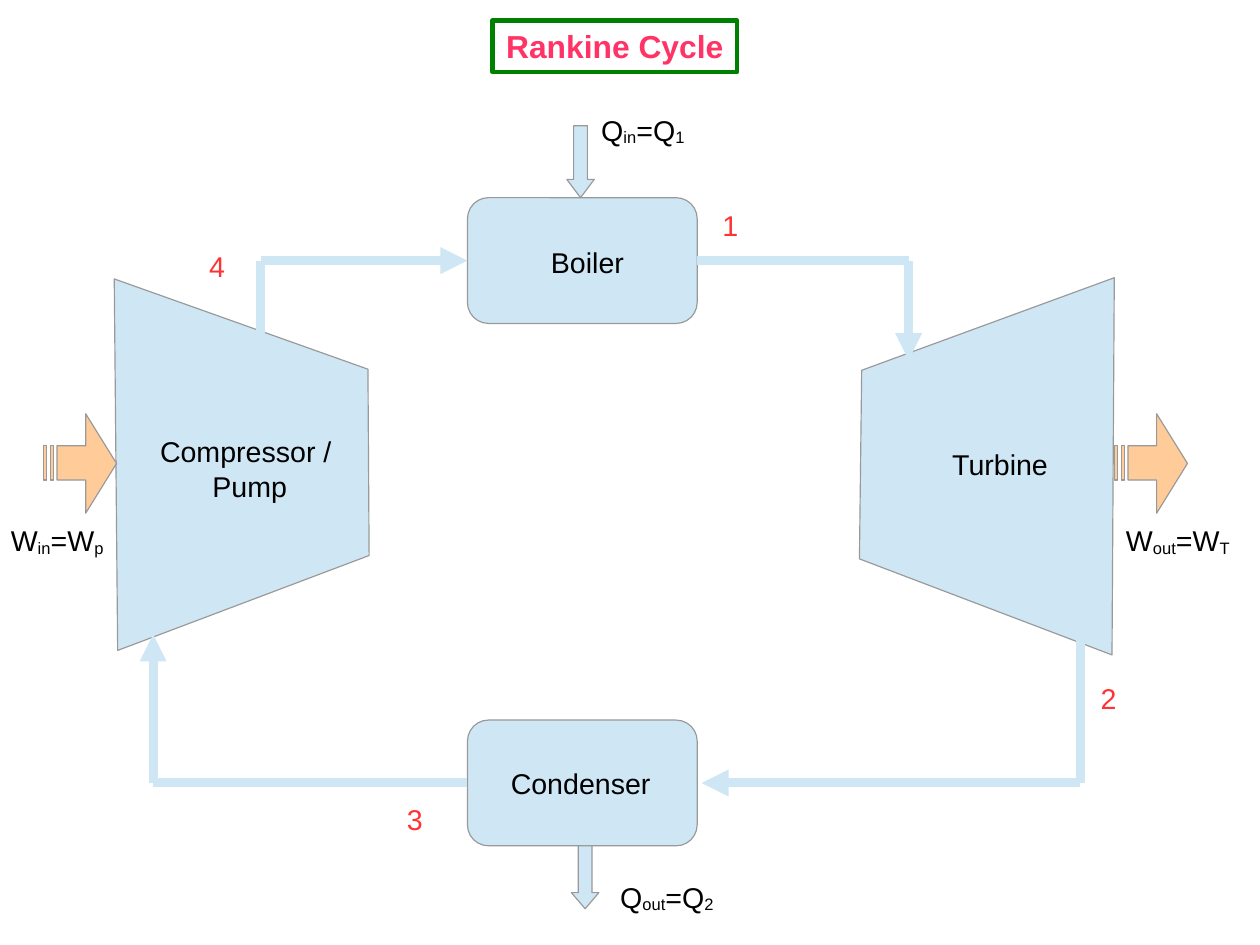
from lxml import etree
from pptx import Presentation
from pptx.dml.color import RGBColor
from pptx.enum.shapes import MSO_CONNECTOR, MSO_SHAPE
from pptx.enum.text import MSO_ANCHOR, MSO_AUTO_SIZE, PP_ALIGN
from pptx.oxml.ns import qn
from pptx.util import Inches, Pt

STRAIGHT = MSO_CONNECTOR.STRAIGHT
ROUNDED = MSO_SHAPE.ROUNDED_RECTANGLE
DOWN_ARROW = MSO_SHAPE.DOWN_ARROW
TOP, MIDDLE = MSO_ANCHOR.TOP, MSO_ANCHOR.MIDDLE
CENTER = PP_ALIGN.CENTER
NO_AUTOFIT = MSO_AUTO_SIZE.NONE

BLUE, ORANGE, GRAY = "CFE7F5", "FFCC99", "999999"
BLACK, RED, PINK, GREEN = "000000", "FF3333", "FF3366", "008000"

# Pipe runs in flow direction: start, end, arrow at end
PIPES = [
    ((2.28, 3.07), (2.28, 2.28), False),
    ((2.28, 2.28), (4.09, 2.28), True),
    ((6.1, 2.28), (7.95, 2.28), False),
    ((7.95, 2.28), (7.95, 3.15), True),
    ((9.45, 5.59), (9.45, 6.85), False),
    ((9.45, 6.85), (6.14, 6.85), True),
    ((4.09, 6.85), (1.34, 6.85), False),
    ((1.34, 6.85), (1.34, 5.55), True),
]
COMPRESSOR = [(1.03, 5.69), (1, 2.44), (3.22, 3.23), (3.23, 4.86)]
TURBINE = [(9.75, 2.43), (9.73, 5.73), (7.52, 4.89), (7.54, 3.24)]

# Labels: left, top, width, height, lines
MACHINE_LABELS = [
    (1.3, 3.75, 1.77, 0.66, ["Compressor / ", "Pump"]),
    (8.23, 3.86, 1.04, 0.38, ["Turbine"]),
    (4.37, 6.65, 1.42, 0.38, ["Condenser"]),
    (4.72, 2.09, 0.84, 0.38, ["Boiler"]),
]
STATE_LABELS = [
    (6.22, 1.77, "1"), (9.53, 5.91, "2"), (3.46, 6.97, "3"), (1.73, 2.13, "4"),
]
# Energy labels: left, top, width, then symbol and subscript in turn
ENERGY_LABELS = [
    (5.16, 0.94, 0.93, ["Q", "in", "=Q", "1"]),
    (5.33, 7.65, 1.01, ["Q", "out", "=Q", "2"]),
    (0, 4.53, 1, ["W", "in", "=W", "p"]),
    (9.75, 4.53, 1.11, ["W", "out", "=W", "T"]),
]


def rgb(value):
    return RGBColor.from_string(value)


def apply(target, values):
    for name, value in values.items():
        setattr(target, name, value)


def set_font(font, size, color, bold=False):
    apply(font, {"name": "Arial", "size": Pt(size), "bold": bold})
    font.color.rgb = rgb(color)


def paint(shape, fill):
    shape.shadow.inherit = False
    shape.fill.solid()
    shape.fill.fore_color.rgb = rgb(fill)
    shape.line.color.rgb = rgb(GRAY)
    shape.line.width = Pt(0)


def add_preset(slide, kind, left, top, width, height, adjustments):
    shape = slide.shapes.add_shape(
        kind, Inches(left), Inches(top), Inches(width), Inches(height))
    for index, value in enumerate(adjustments):
        shape.adjustments[index] = value
    paint(shape, BLUE)


def add_outline(slide, contours, fill):
    """Draw one filled shape from one or more closed contours."""
    contours = [[(Inches(x), Inches(y)) for x, y in contour]
                for contour in contours]
    builder = slide.shapes.build_freeform(*contours[0][0])
    builder.add_line_segments(contours[0][1:])
    for contour in contours[1:]:
        builder.move_to(*contour[0])
        builder.add_line_segments(contour[1:])
    paint(builder.convert_to_shape(), fill)


def add_work_arrow(slide, left):
    """Draw an arrow with two stripes at its tail."""
    top, shaft_top, shaft_bottom, bottom = 3.62, 3.9, 4.2, 4.49
    shaft, head, tip = left + 0.12, left + 0.37, left + 0.64
    arrow = [(head, top), (tip, (top + bottom) / 2), (head, bottom),
             (head, shaft_bottom), (shaft, shaft_bottom), (shaft, shaft_top),
             (head, shaft_top)]
    stripes = [[(x, shaft_top), (x, shaft_bottom), (x + 0.03, shaft_bottom),
                (x + 0.03, shaft_top)] for x in (left, left + 0.06)]
    add_outline(slide, [contour + contour[:1] for contour in [arrow, *stripes]],
                ORANGE)


def add_pipe(slide, start, end, arrow):
    pipe = slide.shapes.add_connector(
        STRAIGHT, *[Inches(value) for value in start + end])
    pipe.line.color.rgb = rgb(BLUE)
    pipe.line.width = Pt(5.67)
    if arrow:
        line = pipe.line._get_or_add_ln()
        etree.SubElement(line, qn("a:tailEnd"), type="triangle")
    etree.SubElement(pipe._element.spPr, qn("a:effectLst"))


def add_label(slide, left, top, width, height, lines, color=BLACK):
    """Add centred lines; a line given as a list alternates with subscripts."""
    box = slide.shapes.add_textbox(
        Inches(left), Inches(top), Inches(width), Inches(height))
    frame = box.text_frame
    apply(frame, {"word_wrap": True, "vertical_anchor": TOP,
                  "margin_left": 0, "margin_right": 0})
    for index, line in enumerate(lines):
        para = frame.paragraphs[0] if index == 0 else frame.add_paragraph()
        para.alignment = CENTER
        for part, text in enumerate([line] if isinstance(line, str) else line):
            span = para.add_run()
            span.text = text
            set_font(span.font, 18, color)
            if part % 2:
                span._r.get_or_add_rPr().set("baseline", "-8000")


def add_title(slide):
    title = slide.shapes.title
    apply(title, {"left": Inches(4.31), "top": Inches(0.18),
                  "width": Inches(2.14), "height": Inches(0.45)})
    title.line.color.rgb = rgb(GREEN)
    title.line.width = Pt(2.83)
    frame = title.text_frame
    frame.text = "Rankine Cycle"
    apply(frame, {"word_wrap": False, "auto_size": NO_AUTOFIT,
                  "vertical_anchor": MIDDLE})
    para = frame.paragraphs[0]
    para.alignment = CENTER
    set_font(para.runs[0].font, 20, PINK, bold=True)


def main():
    deck = Presentation()
    # The page size is a whole number of quarter points
    deck.slide_width, deck.slide_height = Pt(793.75), Pt(595.25)
    slide = deck.slides.add_slide(deck.slide_layouts[5])
    add_title(slide)

    # Machines and pipes
    for outline in (COMPRESSOR, TURBINE):
        add_outline(slide, [outline + outline[:1]], BLUE)
    for top in (1.73, 6.3):
        add_preset(slide, ROUNDED, 4.09, top, 2.01, 1.1, [0.167])
    for pipe in PIPES:
        add_pipe(slide, *pipe)

    # Heat and work arrows
    add_preset(slide, DOWN_ARROW, 4.96, 1.1, 0.24, 0.63, [0.5, 0.667])
    add_preset(slide, DOWN_ARROW, 5, 7.4, 0.24, 0.55, [0.5, 0.584])
    for left in (0.38, 9.75):
        add_work_arrow(slide, left)

    # Labels
    for label in MACHINE_LABELS:
        add_label(slide, *label)
    for left, top, width, parts in ENERGY_LABELS:
        add_label(slide, left, top, width, 0.46, [parts])
    for left, top, number in STATE_LABELS:
        add_label(slide, left, top, 0.34, 0.39, [number], RED)

    deck.save("out.pptx")


if __name__ == "__main__":
    main()
